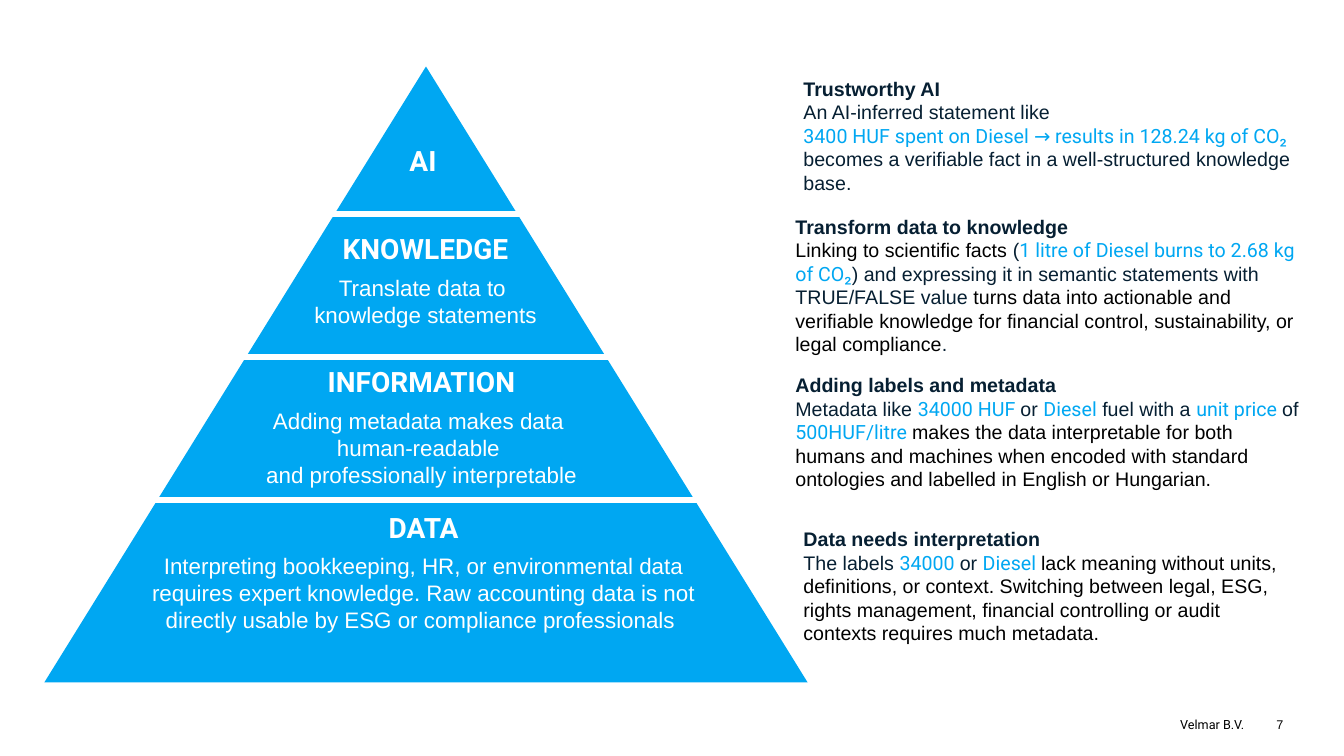
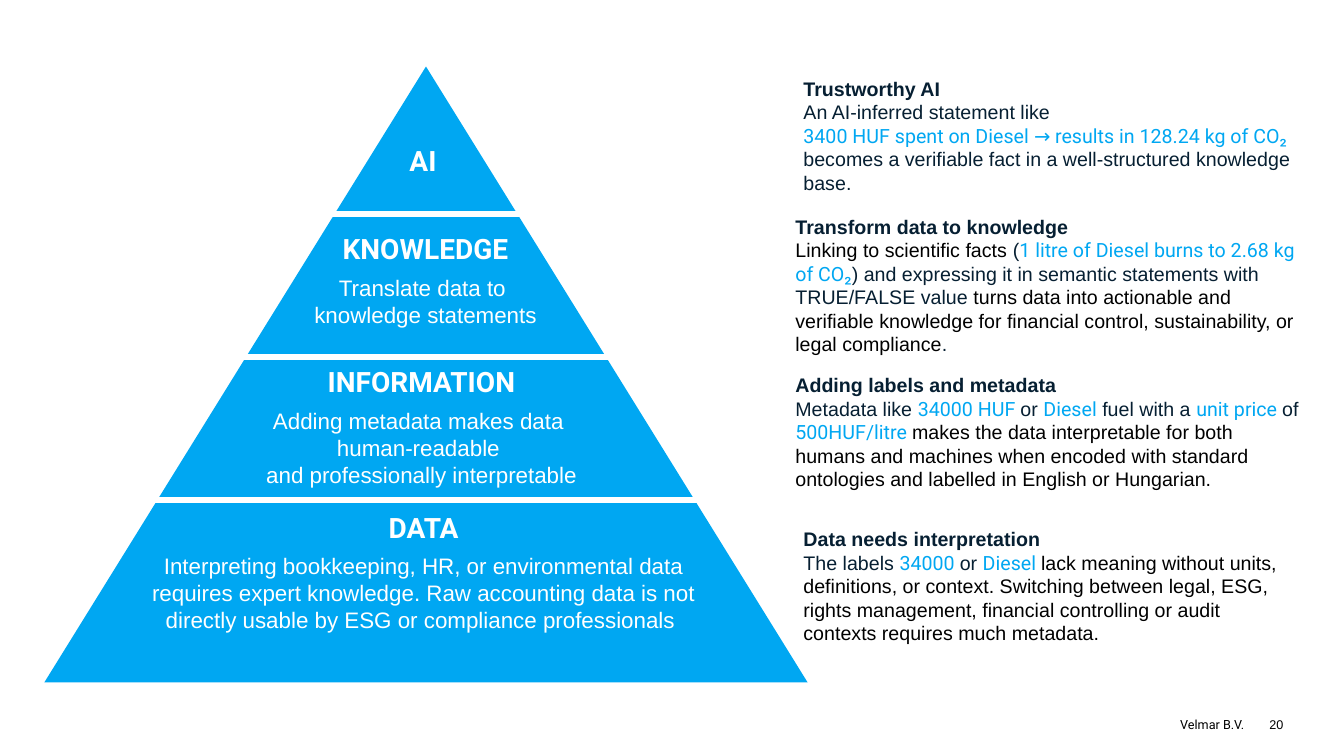
import pptx
import pptx.util
import pptx.dml.color
import pptx.enum.shapes
import pptx.enum.text
import lxml.etree
import dataclasses

Inches = pptx.util.Inches
Pt = pptx.util.Pt
Align = pptx.enum.text.PP_ALIGN
Anchor = pptx.enum.text.MSO_ANCHOR


@dataclasses.dataclass(frozen=True)
class Style:
    font: str
    size: int
    color: str
    bold: bool = False


@dataclasses.dataclass(frozen=True)
class Theme:
    blue: str = "00A7F2"
    navy: str = "061F32"
    black: str = "000000"
    white: str = "FFFFFF"
    sans: str = "Arial"
    brand: str = "Roboto"
    rule: float = 4.5
    gap: int = 3
    pad: float = 0.1

    def style(self, kind):
        return {
            "tier": Style(self.brand, 20, self.white, True),
            "claim": Style(self.sans, 16, self.white),
            "head": Style(self.sans, 14, self.navy, True),
            "navy": Style(self.sans, 14, self.navy),
            "black": Style(self.sans, 14, self.black),
            "fact": Style(self.brand, 14, self.blue),
            "owner": Style(self.brand, 9, self.black),
            "page": Style(self.sans, 9, self.black),
        }[kind]


THEME = Theme()

TIERS = [
    (1.05, 4.4, 5.42, 0.75, [
        [("tier", "DATA")],
        [("claim", "Interpreting bookkeeping, HR, or environmental data requires "
          "expert knowledge. Raw accounting data is not directly usable by ESG "
          "or compliance professionals ")]]),
    (1.03, 2.96, 5.42, 0.75, [
        [("tier", "INFORMATION")],
        [("claim", "Adding metadata makes data \nhuman-readable \n"
          "and professionally interpretable")]]),
    (1.07, 1.64, 5.42, 0.75, [
        [("tier", "KNOWLEDGE")],
        [("claim", "Translate data to \nknowledge statements")]]),
    (0.98, 0.76, 5.55, 0.54, [[("tier", "AI")]]),
]

NOTES = [
    (0.08, 0, 5.19, 1.18, [
        [("head", "Trustworthy AI")],
        [("navy", "An AI-inferred statement like")],
        [("fact", "3400 HUF spent on Diesel → results in 128.24 kg of CO₂ \n"),
         ("navy", "becomes a verifiable fact in a well-structured knowledge base.")]]),
    (0, 1.37, 5.19, 1.18, [
        [("head", "Transform data to knowledge")],
        [("black", "Linking to scientific facts "),
         ("navy", "("),
         ("fact", "1 litre of Diesel burns to 2.68 kg of CO₂"),
         ("navy", ") and expressing it in semantic statements with TRUE/FALSE value "),
         ("black", "turns data into actionable and verifiable knowledge for "
          "financial control, sustainability, or legal compliance"),
         ("navy", ".")]]),
    (0, 2.94, 5.19, 1.59, [
        [("head", "Adding labels and metadata")],
        [("navy", "Metadata like "),
         ("fact", "34000 HUF "),
         ("navy", "or "),
         ("fact", "Diesel"),
         ("navy", " fuel with a "),
         ("fact", "unit price "),
         ("navy", "of "),
         ("fact", "500HUF/litre "),
         ("black", "makes the data interpretable for both humans and machines when "
          "encoded with standard ontologies and labelled in English or Hungarian.")]]),
    (0.08, 4.47, 5.11, 1.18, [
        [("head", "Data needs interpretation")],
        [("navy", "The labels "),
         ("fact", "34000 "),
         ("navy", "or "),
         ("fact", "Diesel "),
         ("black", "lack meaning without units, definitions, or context. Switching "
          "between legal, ESG, rights management, financial controlling or audit "
          "contexts requires much metadata.")]]),
]


def tint(code):
    return pptx.dml.color.RGBColor.from_string(code)


def add_run(para, kind, text):
    style = THEME.style(kind)
    for i, line in enumerate(text.split("\n")):
        if i:
            para.add_line_break()
        if line:
            run = para.add_run()
            run.text = line
            run.font.name = style.font
            run.font.size = Pt(style.size)
            run.font.bold = style.bold
            run.font.color.rgb = tint(style.color)


def add_text(shapes, box, paras, align=Align.LEFT, pad=0, gap=0,
             anchor=Anchor.TOP, wrap=True):
    frame = shapes.add_textbox(*map(Inches, box)).text_frame
    frame.word_wrap = wrap
    frame.vertical_anchor = anchor
    frame.margin_left = frame.margin_right = Inches(pad)
    frame.margin_top = frame.margin_bottom = Inches(pad)
    for i, runs in enumerate(paras):
        para = frame.add_paragraph() if i else frame.paragraphs[0]
        para.alignment = align
        para.space_before = Pt(gap if i else 0)
        para.space_after = Pt(gap)
        for kind, text in runs:
            add_run(para, kind, text)


def add_rule(shapes, left, right, top):
    rule = shapes.add_connector(
        pptx.enum.shapes.MSO_CONNECTOR.STRAIGHT,
        Inches(left), Inches(top), Inches(right), Inches(top))
    rule.line.color.rgb = tint(THEME.white)
    rule.line.width = Pt(THEME.rule)
    space = "http://schemas.openxmlformats.org/drawingml/2006/main"
    lxml.etree.SubElement(rule._element.spPr, "{%s}effectLst" % space)


def add_tiers(slide, left, top, width, height):
    shapes = slide.shapes.add_group_shape().shapes
    peak = shapes.add_shape(
        pptx.enum.shapes.MSO_SHAPE.ISOSCELES_TRIANGLE,
        *map(Inches, (left, top, width, height)))
    peak.shadow.inherit = False
    peak.fill.solid()
    peak.fill.fore_color.rgb = tint(THEME.blue)
    peak.line.fill.background()
    for i, shift in enumerate((0.42, 0.75, 0.42)):
        start = left + shift
        add_rule(shapes, start, start + 6.67, top + 1.46 + i * 1.42)
    for x, y, w, h, paras in TIERS:
        add_text(shapes, (left + x, top + y, w, h), paras,
                 align=Align.CENTER, gap=THEME.gap)


def add_notes(slide, left, top):
    for x, y, w, h, paras in NOTES:
        add_text(slide.shapes, (left + x, top + y, w, h), paras, pad=THEME.pad)


def add_footer(slide, left, top, page):
    for x, width, kind, text, wrap in (
            (0, 0.66, "owner", "Velmar B.V.", False),
            (0.69, 0.36, "page", str(page), True)):
        add_text(slide.shapes, (left + x, top, width, 0.15), [[(kind, text)]],
                 align=Align.RIGHT, anchor=Anchor.BOTTOM, wrap=wrap)


def add_slide(deck, page):
    slide = deck.slides.add_slide(deck.slide_layouts[6])
    add_footer(slide, 11.68, 7.11, page)
    add_tiers(slide, 0.44, 0.66, 7.57, 6.11)
    add_notes(slide, 7.79, 0.66)


def main():
    deck = pptx.Presentation()
    deck.slide_width = Inches(13.33)
    deck.slide_height = Inches(7.5)
    for page in (7, 20):
        add_slide(deck, page)
    deck.save("out.pptx")


if __name__ == "__main__":
    main()
